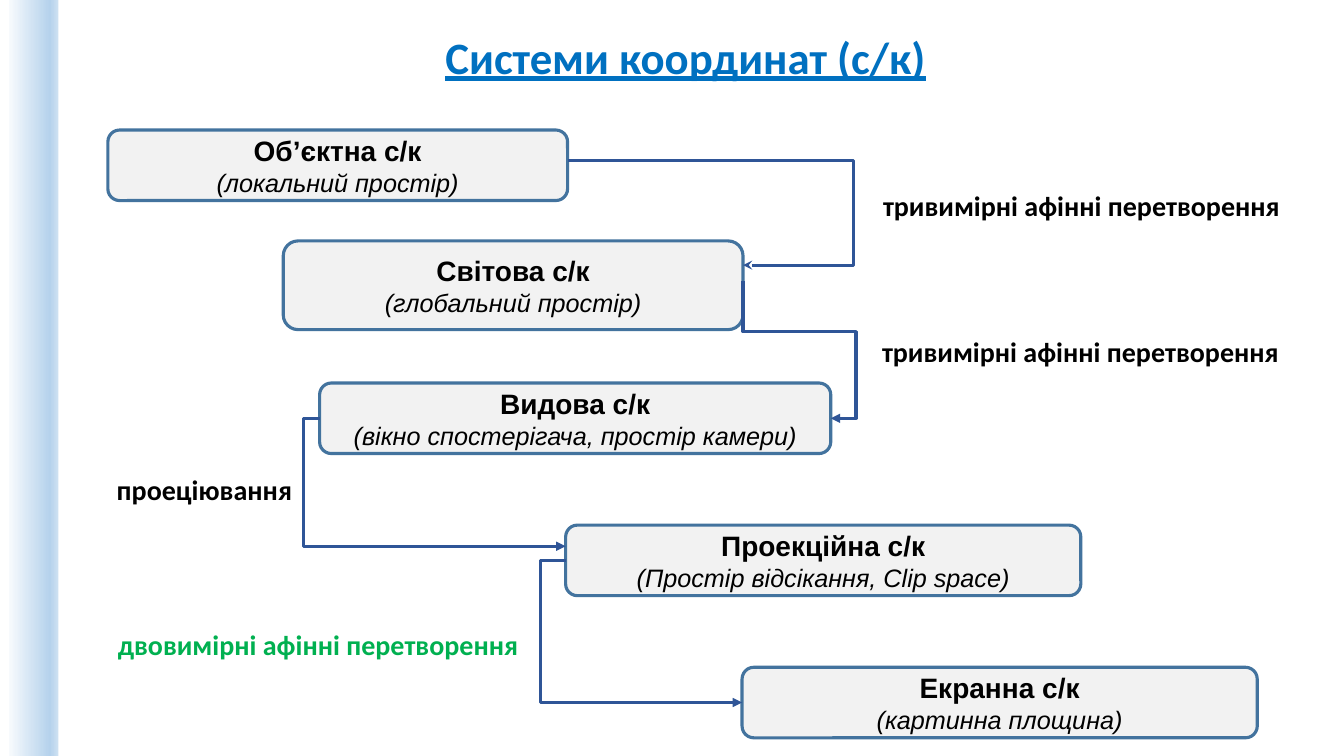
from dataclasses import dataclass

from lxml import etree
from pptx import Presentation
from pptx import util as u
from pptx.dml.color import RGBColor
from pptx.enum import shapes, text
from pptx.oxml import parse_xml
from pptx.oxml.ns import nsdecls, qn

# Content: box = heading, note, left, width, height
TITLE = "Системи координат (с/к)"
BOXES = [
    ("Об’єктна с/к", "(локальний простір)", 1.07, 4.56, 0.7),
    ("Світова с/к", "(глобальний простір)", 2.81, 4.56, 0.88),
    ("Видова с/к", "(вікно спостерігача, простір камери)", 3.17, 5.07, 0.7),
    ("Проекційна с/к", "(Простір відсікання, Clip space)", 5.61, 5.11, 0.7),
    ("Екранна с/к", "(картинна площина)", 7.36, 5.11, 0.7),
]
AFFINE_3D = "тривимірні афінні перетворення"
LABELS = [  # text, left, top, theme colour
    (AFFINE_3D, 8.66, 1.82, "ink"),
    (AFFINE_3D, 8.65, 3.27, "ink"),
    ("проеціювання", 1.06, 4.64, "ink"),
    ("двовимірні афінні перетворення", 1.07, 6.18, "accent"),
]
# Side, drop below the source's top, drop below the target's top,
# x of the vertical run, y of the first turn (None: straight out), arrowhead
LINKS = [
    ("right", 0.3, 0.24, 8.47, None, "stealth"),
    ("right", 0.4, 0.35, 8.49, 3.29, "triangle"),
    ("left", 0.35, 0.21, 3.01, None, "triangle"),
    ("left", 0.35, 0.35, 5.36, None, "triangle"),
]


@dataclass(frozen=True)
class Theme:
    title: str = "0070C0"
    ink: str = "000000"
    accent: str = "00B050"
    box: str = "F2F2F2"
    border: str = "43739E"
    link: str = "2F5597"
    strip: tuple = ((0, "F7FAFD"), (83, "B5D2EC"), (100, "CEE1F2"))
    title_font: str = "Calibri"
    box_font: str = "Arial"
    title_size: int = 32
    head_size: int = 20
    note_size: int = 18
    line: float = 2.25


theme = Theme()
ROW_TOP, ROW_PITCH, FIRST_TOP = 2.39, 1.41, 1.29
tops = [FIRST_TOP] + [ROW_TOP + ROW_PITCH * i for i in range(len(BOXES) - 1)]

prs = Presentation()
prs.slide_width, prs.slide_height = u.Inches(13.33), u.Inches(7.5)
s = prs.slides.add_slide(prs.slide_layouts[5])


def inches(*lengths):
    return [u.Inches(v) for v in lengths]


def style(p, words, font, size, color, bold=True, italic=False):
    p.text = words
    f = p.font
    f.name, f.size, f.bold, f.italic = font, u.Pt(size), bold, italic
    f.color.rgb = RGBColor.from_string(color)


def add_link(x1, y1, x2, y2, bend_x, turn_y, head):
    if turn_y is None:
        ends = (x1, y1, x2, y2)
        adjust = [(bend_x - x1) / (x2 - x1)]
    else:  # leaves downwards: a quarter-turned, mirrored connector
        cx, cy = (x1 + x2) / 2, (y1 + y2) / 2
        half_w, half_h = (y2 - y1) / 2, (x2 - x1) / 2
        ends = (cx + half_w, cy - half_h, cx - half_w, cy + half_h)
        adjust = [(turn_y - y1) / (y2 - y1), (bend_x - x1) / (x2 - x1)]
    c = s.shapes.add_connector(shapes.MSO_CONNECTOR.ELBOW, *inches(*ends))
    c.line.color.rgb = RGBColor.from_string(theme.link)
    c.line.width = u.Pt(theme.line)
    props = c._element.spPr
    if turn_y is not None:
        props.find(qn("a:xfrm")).set("rot", "16200000")
    geom = props.find(qn("a:prstGeom"))
    geom.set("prst", f"bentConnector{len(adjust) + 2}")
    guides = geom.find(qn("a:avLst"))
    for i, share in enumerate(adjust, 1):
        etree.SubElement(guides, qn("a:gd"), name=f"adj{i}",
                         fmla=f"val {round(share * 100000)}")
    etree.SubElement(props.find(qn("a:ln")), qn("a:tailEnd"), type=head)
    etree.SubElement(props, qn("a:effectLst"))


# Gradient strip along the left edge
sp = s.shapes.add_shape(shapes.MSO_SHAPE.RECTANGLE, *inches(0.09, 0, 0.49, 7.5))
sp.shadow.inherit = False
sp.line.fill.background()
sp.fill.gradient()
sp.fill.gradient_angle = 0
stops = "".join(f'<a:gs pos="{pos * 1000}"><a:srgbClr val="{color}"/></a:gs>'
                for pos, color in theme.strip)
grad = sp._element.spPr.find(qn("a:gradFill"))
grad.replace(grad.find(qn("a:gsLst")),
             parse_xml(f"<a:gsLst {nsdecls('a')}>{stops}</a:gsLst>"))

# Title
title = s.shapes.title
title.left, title.top, title.width, title.height = inches(2.27, 0.24, 9.06, 1.04)
tf = title.text_frame
tf.auto_size = text.MSO_AUTO_SIZE.NONE
tf.vertical_anchor = text.MSO_ANCHOR.TOP
p = tf.paragraphs[0]
style(p, TITLE, theme.title_font, theme.title_size, theme.title)
p.font.underline = True
p.alignment = text.PP_ALIGN.CENTER

# Coordinate system boxes
for (head, note, left, width, height), top in zip(BOXES, tops):
    sp = s.shapes.add_shape(shapes.MSO_SHAPE.ROUNDED_RECTANGLE,
                            *inches(left, top, width, height))
    sp.shadow.inherit = False
    sp.fill.solid()
    sp.fill.fore_color.rgb = RGBColor.from_string(theme.box)
    sp.line.color.rgb = RGBColor.from_string(theme.border)
    sp.line.width = u.Pt(theme.line)
    tf = sp.text_frame
    tf.word_wrap = True
    tf.vertical_anchor = text.MSO_ANCHOR.MIDDLE
    style(tf.paragraphs[0], head, theme.box_font, theme.head_size, theme.ink)
    style(tf.add_paragraph(), note, theme.box_font, theme.note_size, theme.ink,
          bold=False, italic=True)
    for p in tf.paragraphs:
        p.alignment = text.PP_ALIGN.CENTER

# Links from each box to the next
for i, (side, drop1, drop2, bend_x, turn_y, head) in enumerate(LINKS):
    x1, x2 = (left + (width if side == "right" else 0)
              for _, _, left, width, _ in BOXES[i:i + 2])
    add_link(x1, tops[i] + drop1, x2, tops[i + 1] + drop2, bend_x, turn_y, head)

# Transformation labels
for words, left, top, color in LABELS:
    tf = s.shapes.add_textbox(*inches(left, top, 4.57, 0.44)).text_frame
    tf.word_wrap = True
    style(tf.paragraphs[0], words, theme.title_font, theme.head_size,
          getattr(theme, color))

prs.save("out.pptx")
